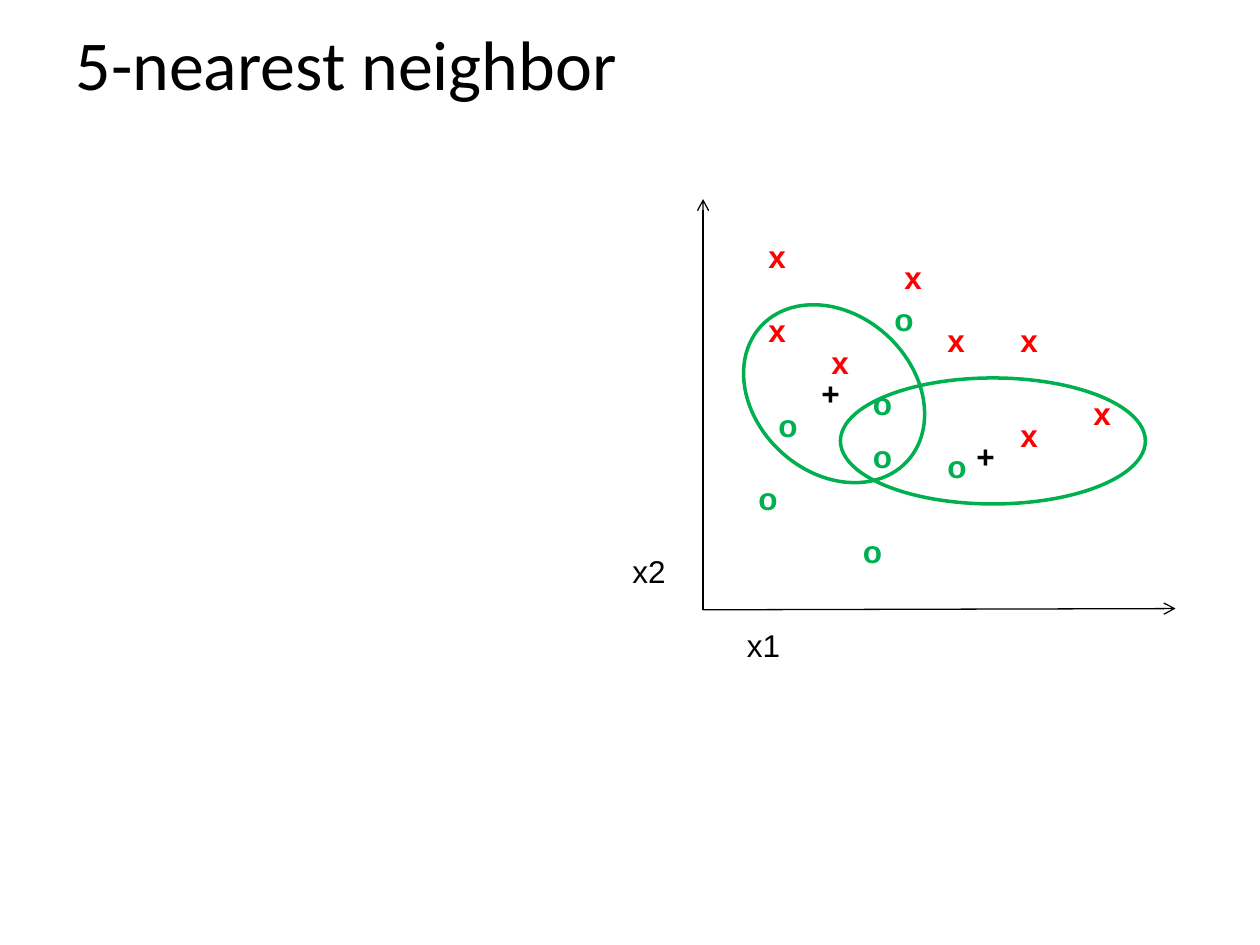
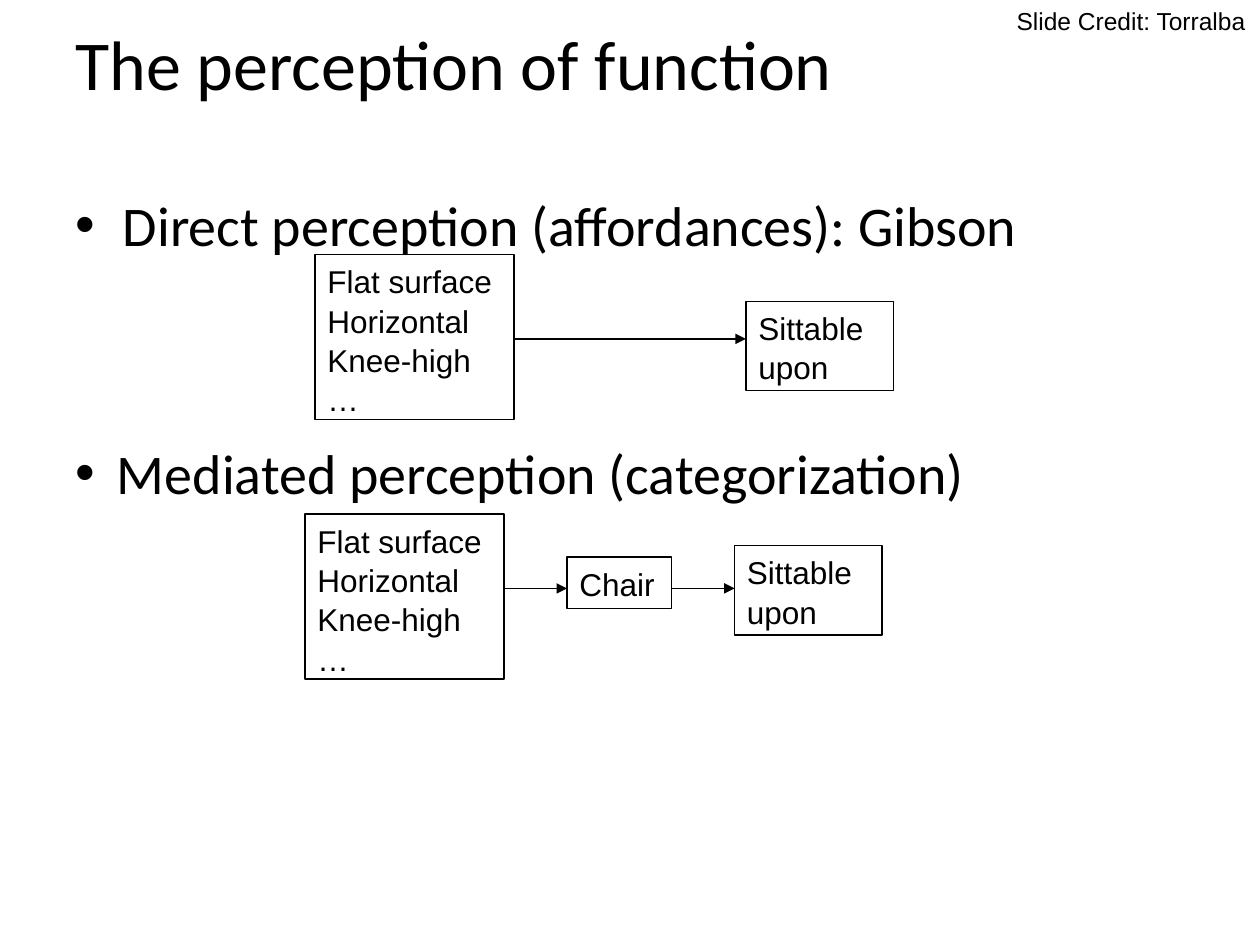
from lxml import etree
from pptx import Presentation
from pptx.dml.color import RGBColor
from pptx.enum.shapes import MSO_CONNECTOR, MSO_SHAPE
from pptx.enum.text import MSO_ANCHOR, MSO_AUTO_SIZE, PP_ALIGN
from pptx.oxml.ns import qn
from pptx.util import Inches, Pt

LINE = MSO_CONNECTOR.STRAIGHT
RECT, OVAL = MSO_SHAPE.RECTANGLE, MSO_SHAPE.OVAL
LEFT, TOP, MIDDLE = PP_ALIGN.LEFT, MSO_ANCHOR.TOP, MSO_ANCHOR.MIDDLE
FIXED = MSO_AUTO_SIZE.NONE
TITLE_ONLY, TITLE_BODY = 5, 1

# Shared style
BLACK, RED, GREEN = "000000", "FF0000", "00B050"
HEAD, TEXT = "Calibri", "Arial"
THIN, BOLD = 0.75, 2

# Slide 1: scatter plot, each mark as (left, top)
MARKS = [
    ("x", RED, 0.34, [(7.42, 2.5), (8, 2.5), (8, 3.25), (8.58, 3.08),
                      (6, 1.83), (6, 2.42), (7.08, 2), (6.5, 2.67)]),
    ("o", GREEN, 0.36, [(7, 2.33), (7.42, 3.5), (5.92, 3.75), (6.08, 3.17),
                        (6.75, 4.17), (6.83, 3.42), (6.83, 3)]),
    ("+", BLACK, 0.35, [(6.42, 2.92), (7.65, 3.42)]),
]
AXES = [("x2", (4.92, 4.33), (5.58, 1.58)),
        ("x1", (5.83, 4.92), (9.33, 4.83))]
ORIGIN = (5.58, 4.84)
RINGS = [((5.83, 2.5, 1.58, 1.25), 42.8), ((6.67, 3, 2.42, 1), 0)]

# Slide 2: chains of boxes, each with its arrow height
DIRECT = "Direct perception (affordances): Gibson"
MEDIATED = "Mediated perception (categorization)"
CREDIT = "Slide Credit: Torralba"
CUES = "Flat surface\nHorizontal\nKnee-high\n…"
USE = "Sittable\nupon"
CHAINS = [
    (2.69, [(CUES, (2.5, 2.02, 1.58, 1.31)),
            (USE, (5.92, 2.39, 1.17, 0.71))]),
    (4.67, [(CUES, (2.42, 4.08, 1.58, 1.31)),
            ("Chair", (4.5, 4.42, 0.83, 0.41)),
            (USE, (5.83, 4.33, 1.17, 0.71))]),
]


def color(code):
    return RGBColor.from_string(code)


def inches(nums):
    return [Inches(n) for n in nums]


def style(para, size, face=TEXT, code=BLACK, bold=False):
    para.alignment = LEFT
    font = para.font
    font.size, font.name, font.bold = Pt(size), face, bold
    font.color.rgb = color(code)


def place(holder, text, area, size, anchor):
    holder.left, holder.top, holder.width, holder.height = inches(area)
    frame = holder.text_frame
    frame.text = text
    frame.auto_size, frame.vertical_anchor = FIXED, anchor
    para = frame.paragraphs[0]
    para.space_before = Pt(0)
    style(para, size, HEAD)


def start(deck, layout, title):
    slide = deck.slides.add_slide(deck.slide_layouts[layout])
    place(slide.shapes.title, title, (0.5, 0, 9, 1), 40, MIDDLE)
    return slide


def label(slide, text, area, size=18, **look):
    frame = slide.shapes.add_textbox(*inches(area)).text_frame
    frame.word_wrap = False
    para = frame.paragraphs[0]
    para.text = text
    style(para, size, **look)
    return para


def bullet(para, indent):
    props = para._p.get_or_add_pPr()
    props.set("marL", str(Inches(indent)))
    props.set("indent", str(-Inches(indent)))
    etree.SubElement(props, qn("a:buFont"), typeface=TEXT)
    etree.SubElement(props, qn("a:buChar"), char="•")


def outline(slide, kind, area, code, width):
    shape = slide.shapes.add_shape(kind, *inches(area))
    shape.shadow.inherit = False
    shape.fill.background()
    shape.line.color.rgb = color(code)
    shape.line.width = Pt(width)
    return shape


def box(slide, text, area):
    frame = outline(slide, RECT, area, BLACK, THIN).text_frame
    frame.word_wrap = True
    frame.vertical_anchor = TOP
    para = frame.paragraphs[0]
    para.text = text
    para.line_spacing = 1.04
    style(para, 18)


def arrow(slide, begin, end, tip):
    link = slide.shapes.add_connector(LINE, *inches(begin + end))
    link.line.color.rgb = color(BLACK)
    link.line.width = Pt(THIN)
    etree.SubElement(link.line._get_or_add_ln(), qn("a:tailEnd"), type=tip)
    etree.SubElement(link._element.spPr, qn("a:effectLst"))


def plot(deck):
    slide = start(deck, TITLE_ONLY, "5-nearest neighbor")
    for sign, code, width, spots in MARKS:
        for spot in spots:
            label(slide, sign, (*spot, width, 0.4), code=code, bold=True)
    for name, spot, end in AXES:
        arrow(slide, ORIGIN, end, "arrow")
        label(slide, name, (*spot, 0.47, 0.4))
    for area, turn in RINGS:
        outline(slide, OVAL, area, GREEN, BOLD).rotation = turn


def flow(deck):
    slide = start(deck, TITLE_BODY, "The perception of function")
    place(slide.placeholders[1], DIRECT, (0.5, 1.46, 9, 4.32), 32, TOP)
    for y, steps in CHAINS:
        for text, area in steps:
            box(slide, text, area)
        # Arrows join the facing sides of neighbours
        for (_, near), (_, far) in zip(steps, steps[1:]):
            arrow(slide, (near[0] + near[2], y), (far[0], y), "triangle")
    para = label(slide, MEDIATED, (0.5, 3.43, 7.39, 0.64), 32, face=HEAD)
    bullet_last(para)
    label(slide, CREDIT, (7.97, 0, 2.03, 0.34), 14)


def bullet_last(para):
    # Bullet elements go in ahead of the font settings
    props = para._p.get_or_add_pPr()
    fonts = list(props)
    for item in fonts:
        props.remove(item)
    bullet(para, 0.33)
    props.extend(fonts)


def main():
    deck = Presentation()
    deck.slide_width, deck.slide_height = inches((10, 7.5))
    plot(deck)
    flow(deck)
    deck.save("out.pptx")


if __name__ == "__main__":
    main()
